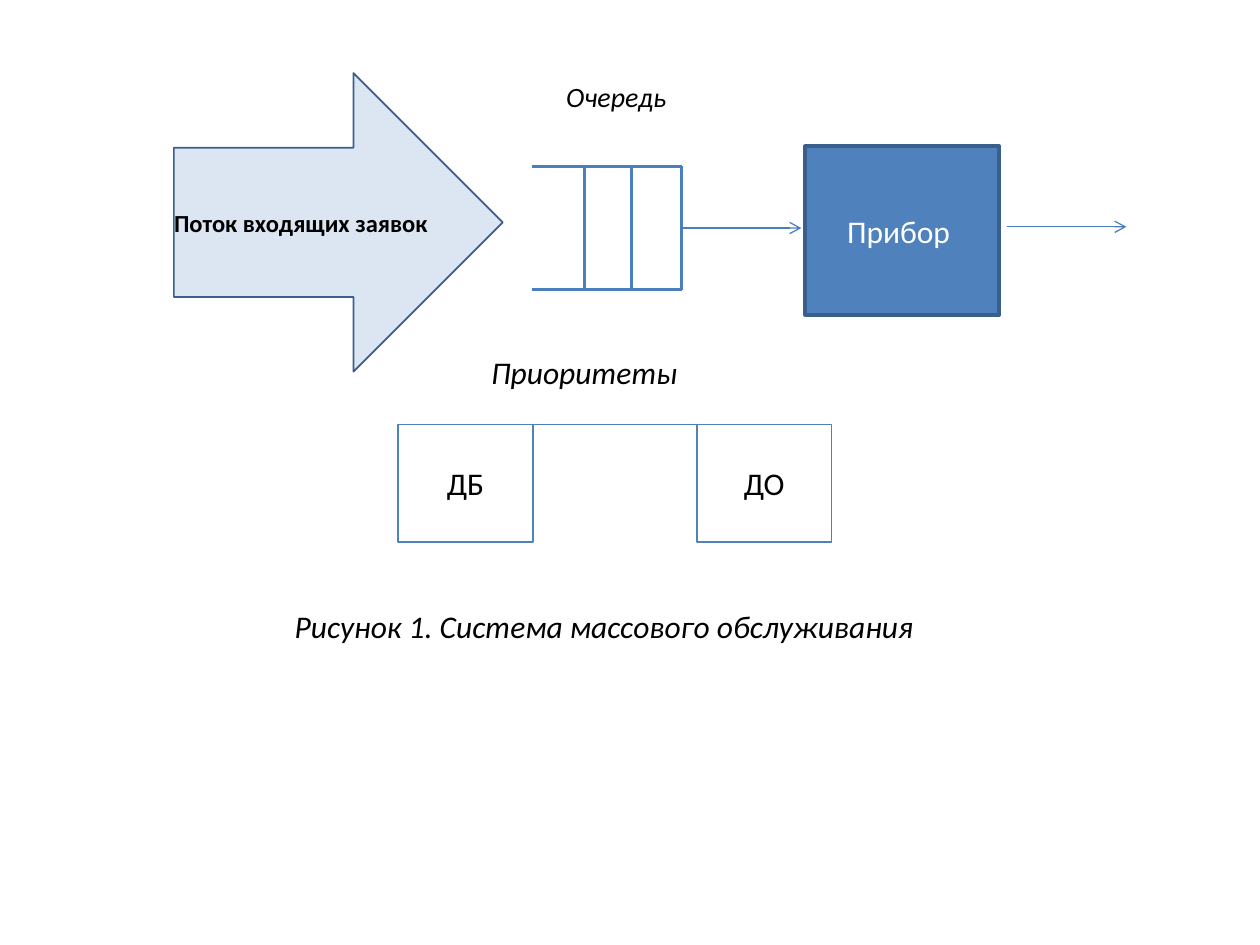
from lxml import etree
from pptx import Presentation
from pptx.dml.color import RGBColor
from pptx.enum.shapes import MSO_CONNECTOR, MSO_SHAPE
from pptx.enum.text import MSO_ANCHOR, PP_ALIGN
from pptx.oxml.ns import qn
from pptx.util import Inches, Pt

LEFT, CENTER = PP_ALIGN.LEFT, PP_ALIGN.CENTER
MIDDLE = MSO_ANCHOR.MIDDLE
STRAIGHT = MSO_CONNECTOR.STRAIGHT
RECTANGLE, RIGHT_ARROW = MSO_SHAPE.RECTANGLE, MSO_SHAPE.RIGHT_ARROW

COLORS = {
    "blue": "4F81BD",
    "line": "4B7EBC",
    "dark": "3A5F8C",
    "pale": "DCE6F2",
    "black": "000000",
    "white": "FFFFFF",
}


def rgb(name):
    return RGBColor.from_string(COLORS[name])


def write_text(box, text, size, color="black", align=CENTER, bold=False, italic=False):
    box.text_frame.word_wrap = True
    para = box.text_frame.paragraphs[0]
    para.text = text
    para.alignment = align
    para.font.name = "Calibri"
    para.font.size = Pt(size)
    para.font.bold = bold
    para.font.italic = italic
    para.font.color.rgb = rgb(color)


deck = Presentation()
deck.slide_width, deck.slide_height = Inches(10), Inches(7.5)
page = deck.slides.add_slide(deck.slide_layouts[6])

queue_left, queue_right = 4.22, 5.41
queue_top, queue_bottom = 1.32, 2.3
queue_middle = (queue_top + queue_bottom) / 2
priority_top = 3.37

lines = [(queue_left, y, queue_right, y, 1.75, False) for y in (queue_top, queue_bottom)]
lines += [(x, queue_top, x, queue_bottom, 1.75, False) for x in (4.64, 5.01, queue_right)]
lines += [
    (queue_right, queue_middle, 6.36, queue_middle, 0.75, True),
    (7.99, 1.8, 8.94, 1.8, 0.75, True),
    (3.39, priority_top, 6.36, priority_top, 0.75, False),
]
for x1, y1, x2, y2, width, arrow in lines:
    line = page.shapes.add_connector(STRAIGHT, Inches(x1), Inches(y1), Inches(x2), Inches(y2))
    line.line.color.rgb = rgb("line")
    line.line.width = Pt(width)
    if arrow:
        etree.SubElement(line.line._get_or_add_ln(), qn("a:tailEnd"), type="arrow")
    etree.SubElement(line._element.spPr, qn("a:effectLst"))

shapes = [
    (RECTANGLE, 6.39, 1.16, 1.54, 1.34, "blue", "dark", 2, "Прибор ", 18, "white"),
    (RIGHT_ARROW, 1.38, 0.58, 2.61, 2.37, "pale", "dark", 1, "Поток входящих заявок", 14, "black"),
    (RECTANGLE, 3.16, priority_top, 1.07, 0.93, None, "blue", 1, "ДБ", 18, "black"),
    (RECTANGLE, 5.53, priority_top, 1.07, 0.93, None, "blue", 1, "ДО", 18, "black"),
]
for kind, left, top, width, height, fill, outline, weight, text, size, color in shapes:
    shape = page.shapes.add_shape(kind, Inches(left), Inches(top), Inches(width), Inches(height))
    shape.shadow.inherit = False
    if fill:
        shape.fill.solid()
        shape.fill.fore_color.rgb = rgb(fill)
    else:
        shape.fill.background()
    shape.line.color.rgb = rgb(outline)
    shape.line.width = Pt(weight)
    write_text(shape, text, size, color, bold=kind == RIGHT_ARROW)
    frame = shape.text_frame
    frame.vertical_anchor = MIDDLE
    if kind == RIGHT_ARROW:
        frame.word_wrap = False
        frame.margin_left = frame.margin_right = frame.margin_top = frame.margin_bottom = 0

labels = [
    (4.13, 0.58, 1.52, 0.73, "Очередь", 16, CENTER),
    (3.8, 2.75, 2.27, 0.66, "Приоритеты", 18, LEFT),
    (2.24, 4.77, 5.16, 0.4, "Рисунок 1. Система массового обслуживания", 18, LEFT),
]
for left, top, width, height, text, size, align in labels:
    label = page.shapes.add_textbox(Inches(left), Inches(top), Inches(width), Inches(height))
    write_text(label, text, size, align=align, italic=True)

deck.save("out.pptx")
